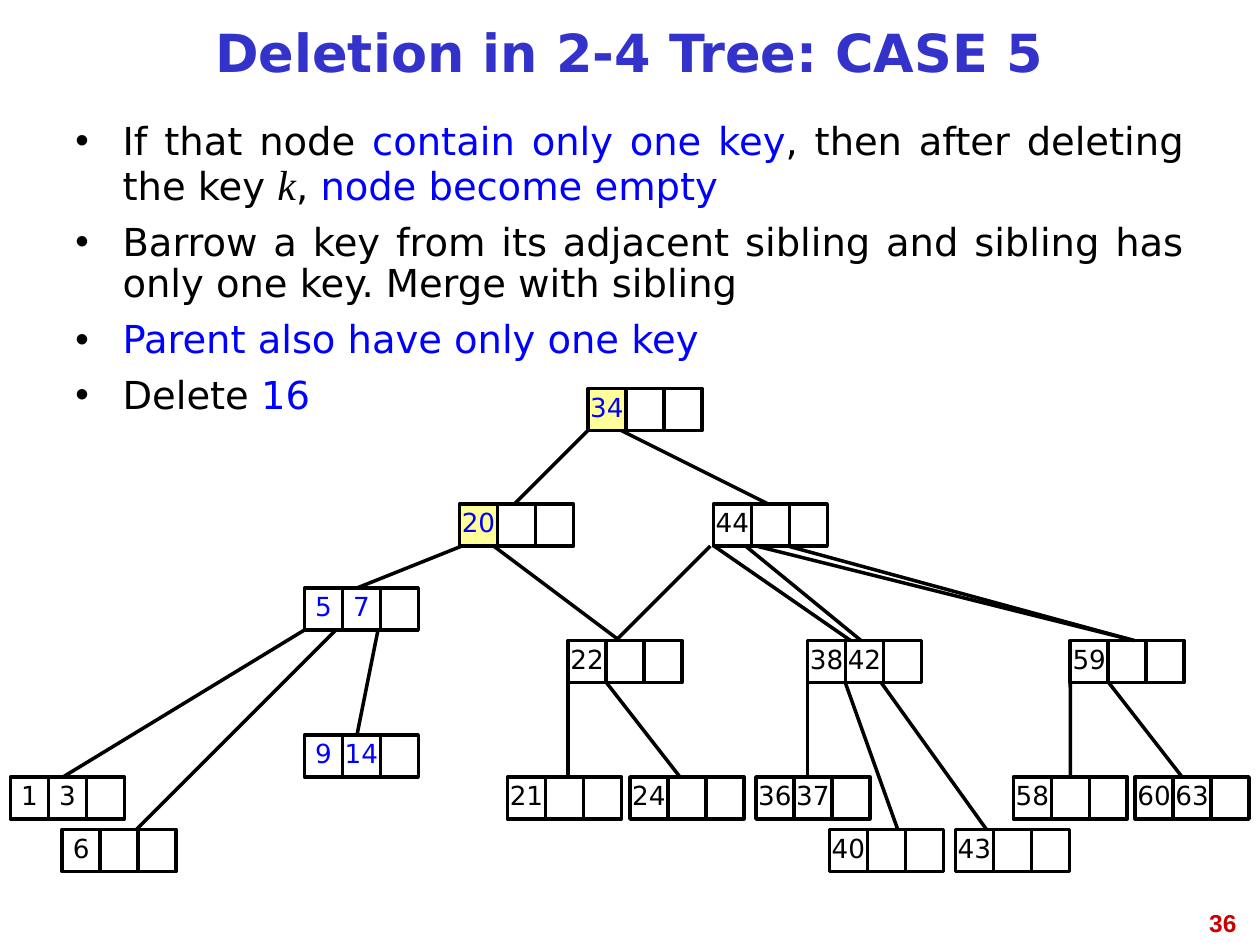
"""Build the slide on deleting a key from a 2-4 tree, case 5."""
from lxml import etree
from pptx import Presentation
from pptx import util as u
from pptx.dml.color import RGBColor
from pptx.enum import shapes, text
from pptx.oxml import ns

BLACK = RGBColor(0x00, 0x00, 0x00)
WHITE = RGBColor(0xFF, 0xFF, 0xFF)
BLUE = RGBColor(0x00, 0x00, 0xFF)
INDIGO = RGBColor(0x33, 0x33, 0xCC)
RED = RGBColor(0xCC, 0x00, 0x00)
YELLOW = RGBColor(0xFF, 0xFF, 0x99)
SANS = "DejaVu Sans"
CELL_WIDTH, CELL_HEIGHT = 21.7, 24
JOIN_REACH = 0.5


def add_span(para, words, color, size, name=SANS, **extra):
    span = para.add_run()
    span.text = words
    span.font.color.rgb = color
    for key, value in dict(size=u.Pt(size), name=name, **extra).items():
        setattr(span.font, key, value)


def format_para(para, **values):
    for key, value in values.items():
        setattr(para, key, value)


deck = Presentation()
deck.slide_width, deck.slide_height = u.Pt(720), u.Pt(540)
page = deck.slides.add_slide(deck.slide_layouts[5])

number = page.shapes.add_textbox(u.Pt(545.6), u.Pt(515.2), u.Pt(168), u.Pt(37.4))
number.text_frame.word_wrap = True
para = number.text_frame.paragraphs[0]
format_para(para, alignment=text.PP_ALIGN.RIGHT)
add_span(para, "36", RED, 14, "Arial", bold=True)

title = page.shapes.title
for key, value in dict(left=36, top=5.7, width=647.5, height=54).items():
    setattr(title, key, u.Pt(value))
title.text_frame.vertical_anchor = text.MSO_ANCHOR.MIDDLE
para = title.text_frame.paragraphs[0]
format_para(para, alignment=text.PP_ALIGN.CENTER, line_spacing=0.81)
add_span(para, "Deletion in 2-4 Tree: CASE 5", INDIGO, 30, bold=True)

bullets = [
    [("If that node ", BLACK, 22), ("contain only one key", BLUE, 22),
     (", then after deleting the key ", BLACK, 22),
     ("k", BLACK, 24, "Times New Roman"), (", ", BLACK, 22),
     ("node become empty", BLUE, 22)],
    [("Barrow a key from its adjacent sibling and sibling has only one key. "
      "Merge with sibling", BLACK, 22)],
    [("Parent also have only one key", BLUE, 22)],
    [("Delete ", BLACK, 22), ("16", BLUE, 22)],
]
body = page.shapes.add_textbox(u.Pt(36), u.Pt(66.3), u.Pt(647.5), u.Pt(186))
body.text_frame.word_wrap = True
for index, spans in enumerate(bullets):
    para = body.text_frame.paragraphs[0] if index == 0 else body.text_frame.add_paragraph()
    format_para(para, alignment=text.PP_ALIGN.JUSTIFY, line_spacing=0.9,
                space_before=u.Pt(8 if index else 0))
    props = para._p.get_or_add_pPr()
    props.set("marL", str(u.Pt(27)))
    props.set("indent", str(u.Pt(-27)))
    bullet_color = etree.SubElement(props, ns.qn("a:buClr"))
    etree.SubElement(bullet_color, ns.qn("a:srgbClr"), val=str(BLACK))
    etree.SubElement(props, ns.qn("a:buFont"), typeface="Arial")
    etree.SubElement(props, ns.qn("a:buChar"), char="•")
    for span in spans:
        add_span(para, *span, italic=len(span) == 4)

nodes = [
    (336, 222, ["34"]),
    (262.6, 288, ["20"]), (407.7, 288, ["44"]),
    (174, 336, ["5", "7"]),
    (324.7, 366, ["22"]), (461.5, 366, ["38", "42"]), (611.6, 366, ["59"]),
    (174, 420, ["9", "14"]),
    (6, 444, ["1", "3"]), (290, 444, ["21"]), (360, 444, ["24"]),
    (432, 444, ["36", "37"]), (579.1, 444, ["58"]), (648.7, 444, ["60", "63"]),
    (35.6, 474, ["6"]), (474, 474, ["40"]), (546, 474, ["43"]),
]
blue_keys = {"34", "20", "5", "7", "9", "14"}
yellow_keys = {"34", "20"}
white_nodes = {"20", "44"}
cells = []
for left, top, keys in nodes:
    node = page.shapes.add_group_shape()
    for slot in range(3):
        key = keys[slot] if slot < len(keys) else ""
        cell_left = left + slot * CELL_WIDTH
        cell = node.shapes.add_shape(
            shapes.MSO_SHAPE.RECTANGLE, u.Pt(cell_left), u.Pt(top),
            u.Pt(CELL_WIDTH), u.Pt(CELL_HEIGHT))
        cell.shadow.inherit = False
        if key in yellow_keys or keys[0] in white_nodes:
            cell.fill.solid()
            cell.fill.fore_color.rgb = YELLOW if key in yellow_keys else WHITE
        else:
            cell.fill.background()
        cell.line.color.rgb = BLACK
        cell.line.width = u.Pt(2)
        cells.append((cell_left + CELL_WIDTH / 2, top, cell))
        if key:
            frame = cell.text_frame
            frame.word_wrap = False
            frame.vertical_anchor = text.MSO_ANCHOR.MIDDLE
            para = frame.paragraphs[0]
            format_para(para, alignment=text.PP_ALIGN.CENTER, line_spacing=0.81)
            add_span(para, key, BLUE if key in blue_keys else BLACK, 15)

edges = [
    (336, 246, 294, 288), (355, 246, 439, 288),
    (264, 312, 204, 336), (282, 312, 354, 366),
    (406, 312, 352, 366), (408, 312, 486, 366), (426, 312, 492, 366),
    (432, 312, 648, 366), (450, 312, 648, 366),
    (174, 360, 36, 444), (192, 360, 78, 474), (216, 360, 204, 420),
    (324.7, 390, 324.7, 444), (346.5, 390, 388.6, 444),
    (461.5, 390, 461.5, 444), (483, 390, 513, 474), (503.5, 390, 563.7, 474),
    (611.6, 390, 611.6, 444), (633.5, 390, 675.5, 444),
]
for edge in edges:
    link = page.shapes.add_connector(
        shapes.MSO_CONNECTOR.STRAIGHT, *(u.Pt(value) for value in edge))
    link.line.color.rgb = BLACK
    link.line.width = u.Pt(2)
    etree.SubElement(link._element.spPr, ns.qn("a:effectLst"))
    for middle, top, cell in cells:
        if top == edge[3] and abs(middle - edge[2]) < JOIN_REACH:
            link.end_connect(cell, 0)

deck.save("out.pptx")
